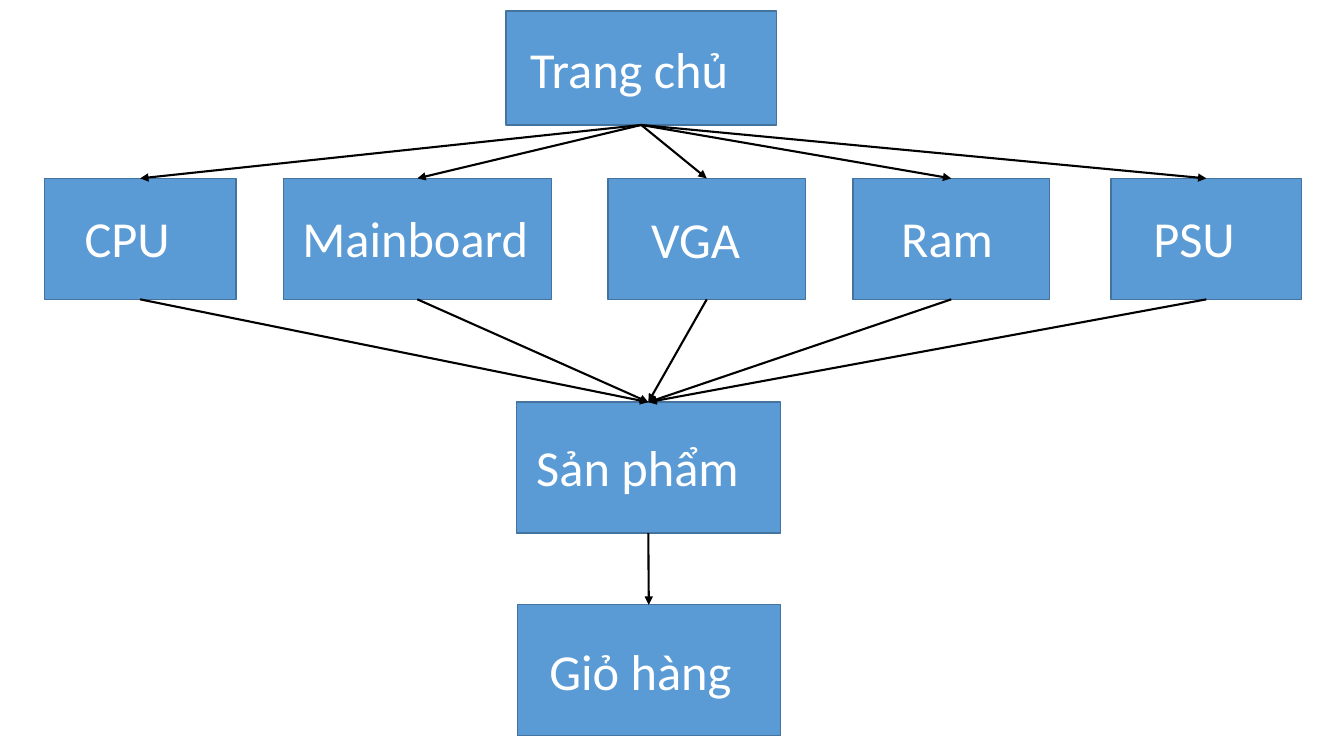
import pptx
import pptx.dml.color
import pptx.enum.shapes
import pptx.enum.text
import pptx.oxml
import pptx.oxml.ns
import pptx.util

Inches = pptx.util.Inches
Pt = pptx.util.Pt

COLORS = {"box": "5B9BD5", "border": "43739E", "text": "FFFFFF", "arrow": "000000"}
LABEL_FORMAT = {"size": Pt(36), "name": "Calibri"}
FRAME_FORMAT = {"word_wrap": True,
                "auto_size": pptx.enum.text.MSO_AUTO_SIZE.SHAPE_TO_FIT_TEXT}
LABEL_H = 0.71
TOP, BOTTOM = 0, 2  # connection sites of a rectangle

# Each page: name, box (left, top, width, height), label (dx, dy, width)
HOME = ("Trang chủ", (5.02, 0.11, 2.68, 1.13), (0.14, 0.22, 2.55))
PRODUCT = ("Sản phẩm", (5.12, 3.99, 2.62, 1.3), (0.1, 0.29, 2.62))
CART = ("Giỏ hàng", (5.13, 6, 2.61, 1.3), (0.22, 0.3, 2.37))

# Each category: name, left, width, label (dx, dy, width)
CATEGORY_TOP, CATEGORY_H = 1.77, 1.2
CATEGORIES = [
    ("CPU", 0.44, 1.9, (0.3, 0.24, 1.3)),
    ("Mainboard", 2.81, 2.66, (0.09, 0.24, 2.71)),
    ("VGA", 6.03, 1.96, (0.33, 0.25, 1.35)),
    ("Ram", 8.46, 1.95, (0.38, 0.24, 1.51)),
    ("PSU", 11.02, 1.89, (0.32, 0.24, 1.24)),
]


def rgb(key):
    return pptx.dml.color.RGBColor.from_string(COLORS[key])


def add_page(slide, name, box, label):
    """Draw a page box with its label placed relative to it."""
    left, top, width, height = box
    sp = slide.shapes.add_shape(pptx.enum.shapes.MSO_SHAPE.RECTANGLE,
                                Inches(left), Inches(top), Inches(width), Inches(height))
    sp.shadow.inherit = False
    sp.fill.solid()
    sp.fill.fore_color.rgb = rgb("box")
    sp.line.color.rgb = rgb("border")
    sp.line.width = Pt(1)

    dx, dy, label_w = label
    tf = slide.shapes.add_textbox(Inches(left + dx), Inches(top + dy),
                                  Inches(label_w), Inches(LABEL_H)).text_frame
    for key, value in FRAME_FORMAT.items():
        setattr(tf, key, value)
    r = tf.paragraphs[0].add_run()
    r.text = name
    for key, value in LABEL_FORMAT.items():
        setattr(r.font, key, value)
    r.font.color.rgb = rgb("text")
    return sp


def add_arrow(slide, source, target):
    """Link the bottom of one box to the top of another."""
    line = slide.shapes.add_connector(pptx.enum.shapes.MSO_CONNECTOR.STRAIGHT, 0, 0, 0, 0)
    line.begin_connect(source, BOTTOM)
    line.end_connect(target, TOP)
    line.line.color.rgb = rgb("arrow")
    line.line.width = Pt(1.5)
    ns = pptx.oxml.ns.nsdecls("a")
    ln = line.line._get_or_add_ln()
    ln.append(pptx.oxml.parse_xml(f'<a:tailEnd {ns} type="triangle"/>'))
    line._element.spPr.append(pptx.oxml.parse_xml(f"<a:effectLst {ns}/>"))


def add_site_map(slide):
    # Boxes
    home, product, cart = [add_page(slide, *page) for page in (HOME, PRODUCT, CART)]
    categories = [add_page(slide, name, (left, CATEGORY_TOP, width, CATEGORY_H), label)
                  for name, left, width, label in CATEGORIES]

    # Arrows
    for category in categories:
        add_arrow(slide, home, category)
    for category in categories:
        add_arrow(slide, category, product)
    add_arrow(slide, product, cart)


def main():
    prs = pptx.Presentation()
    prs.slide_width, prs.slide_height = Inches(13.33), Inches(7.5)
    add_site_map(prs.slides.add_slide(prs.slide_layouts[6]))
    prs.save("out.pptx")


if __name__ == "__main__":
    main()
